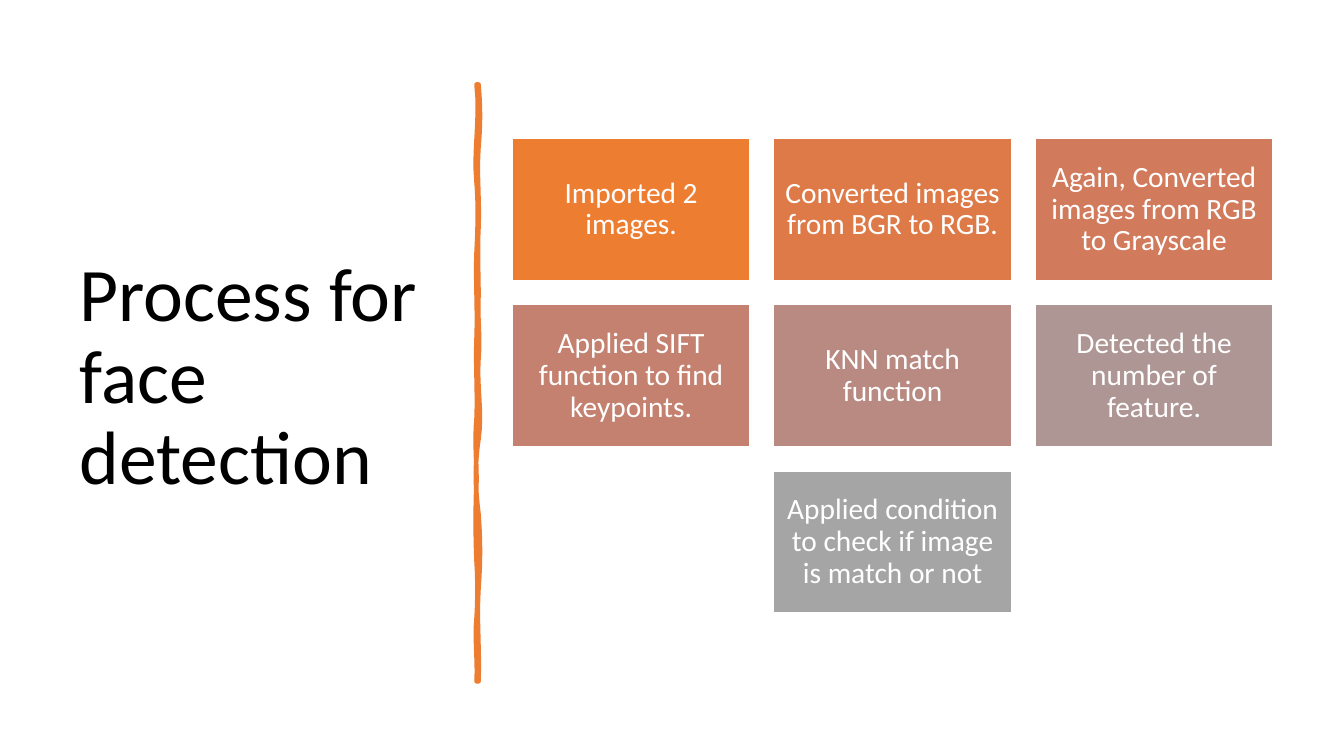
from dataclasses import dataclass
from typing import NamedTuple

from pptx import Presentation
from pptx.dml.color import RGBColor
from pptx.enum.shapes import MSO_SHAPE
from pptx.enum.text import MSO_ANCHOR, MSO_AUTO_SIZE, PP_ALIGN
from pptx.oxml import parse_xml
from pptx.oxml.ns import nsdecls
from pptx.slide import Slide
from pptx.text.text import TextFrame
from pptx.util import Cm, Pt

RECTANGLE = MSO_SHAPE.RECTANGLE
MIDDLE = MSO_ANCHOR.MIDDLE
NO_AUTOFIT = MSO_AUTO_SIZE.NONE
LEFT, CENTER = PP_ALIGN.LEFT, PP_ALIGN.CENTER


@dataclass(frozen=True)
class Theme:
    font: str = "Calibri"
    title_size: float = 54
    step_size: float = 21
    line_spacing: float = 0.9
    ink: str = "000000"
    paper: str = "FFFFFF"
    accent: str = "ED7D31"


class Step(NamedTuple):
    text: str
    fill: str
    column: int
    row: int


class Wave(NamedTuple):
    end: float
    first_bend: float
    second_bend: float


THEME = Theme()

GRID_LEFT, GRID_TOP = 12.91, 3.49
STEP_WIDTH, STEP_HEIGHT = 5.99, 3.58
COLUMN_PITCH, ROW_PITCH = 6.59, 4.19

STEPS = [
    Step("Imported 2 images.", THEME.accent, 0, 0),
    Step("Converted images from BGR to RGB.", "DE7A47", 1, 0),
    Step("Again, Converted images from RGB to Grayscale", "D17B5C", 2, 0),
    Step("Applied SIFT function to find keypoints.", "C48170", 0, 1),
    Step("KNN match function", "B98A82", 1, 1),
    Step("Detected the number of feature.", "AE9694", 2, 1),
    Step("Applied condition to check if image is match or not", "A5A5A5", 1, 2),
]

DIVIDER_TOP = 2.13
DIVIDER_BOTTOM = 17.17
DIVIDER_LEFT, DIVIDER_RIGHT = 12.01, 12.06
SAMPLES = 8

RIGHT_WAVES = [
    Wave(3.71, 0.05, 0.05),
    Wave(5.74, -0.05, 0.03),
    Wave(7.47, -0.03, 0),
    Wave(9.04, -0.03, 0.05),
    Wave(11.07, -0.05, 0.1),
    Wave(12.95, -0.1, -0.08),
    Wave(14.83, 0.05, 0.05),
    Wave(DIVIDER_BOTTOM, -0.05, 0.03),
]
LEFT_WAVES = [
    Wave(15.57, 0.03, -0.05),
    Wave(14.15, 0.03, 0.03),
    Wave(12.12, -0.03, -0.03),
    Wave(10.54, 0, -0.05),
    Wave(8.51, 0.03, -0.03),
    Wave(6.35, 0.03, -0.03),
    Wave(4.6, 0.03, 0.05),
    Wave(DIVIDER_TOP, -0.08, 0.1),
]


def color(value: str) -> RGBColor:
    return RGBColor.from_string(value)


def write(frame: TextFrame, text: str, size: float, ink: str, align: PP_ALIGN) -> None:
    frame.word_wrap = True
    frame.auto_size = NO_AUTOFIT
    frame.vertical_anchor = MIDDLE
    para = frame.paragraphs[0]
    para.alignment = align
    para.line_spacing = THEME.line_spacing
    span = para.add_run()
    span.text = text
    span.font.name = THEME.font
    span.font.size = Pt(size)
    span.font.color.rgb = color(ink)


def add_title(page: Slide, text: str) -> None:
    title = page.shapes.title
    title.left, title.top = Cm(1.75), Cm(1.78)
    title.width, title.height = Cm(9.5), Cm(15.52)
    write(title.text_frame, text, THEME.title_size, THEME.ink, LEFT)


def edge_points(edge: float, start: float, waves: list[Wave]) -> list[tuple[int, int]]:
    points = [(Cm(edge), Cm(start))]
    for wave in waves:
        for sample in range(1, SAMPLES + 1):
            t = sample / SAMPLES
            bend = 3 * t * (1 - t) * ((1 - t) * wave.first_bend + t * wave.second_bend)
            points.append((Cm(edge + bend), Cm(start + t * (wave.end - start))))
        start = wave.end
    return points


def add_divider(page: Slide) -> None:
    outline = edge_points(DIVIDER_RIGHT, DIVIDER_TOP, RIGHT_WAVES)
    outline += edge_points(DIVIDER_LEFT, DIVIDER_BOTTOM, LEFT_WAVES)
    builder = page.shapes.build_freeform(*outline[0])
    builder.add_line_segments(outline[1:], close=True)
    divider = builder.convert_to_shape()
    divider.shadow.inherit = False
    divider.fill.solid()
    divider.fill.fore_color.rgb = color(THEME.accent)
    divider.line.color.rgb = color(THEME.accent)
    divider.line.width = Pt(3.25)
    divider.line.fill._xPr.append(parse_xml(f"<a:round {nsdecls('a')}/>"))


def add_step(page: Slide, step: Step) -> None:
    box = page.shapes.add_shape(
        RECTANGLE,
        Cm(GRID_LEFT + step.column * COLUMN_PITCH),
        Cm(GRID_TOP + step.row * ROW_PITCH),
        Cm(STEP_WIDTH),
        Cm(STEP_HEIGHT),
    )
    box.shadow.inherit = False
    box.fill.solid()
    box.fill.fore_color.rgb = color(step.fill)
    box.line.color.rgb = color(THEME.paper)
    box.line.width = Pt(1)
    frame = box.text_frame
    frame.margin_left = frame.margin_right = Cm(0.22)
    frame.margin_top = frame.margin_bottom = Cm(0.22)
    write(frame, step.text, THEME.step_size, THEME.paper, CENTER)


def main() -> None:
    deck = Presentation()
    deck.slide_width, deck.slide_height = Cm(33.87), Cm(19.05)
    page = deck.slides.add_slide(deck.slide_layouts.get_by_name("Title Only"))
    add_title(page, "Process for face detection")
    add_divider(page)
    for step in STEPS:
        add_step(page, step)
    deck.save("out.pptx")


if __name__ == "__main__":
    main()
